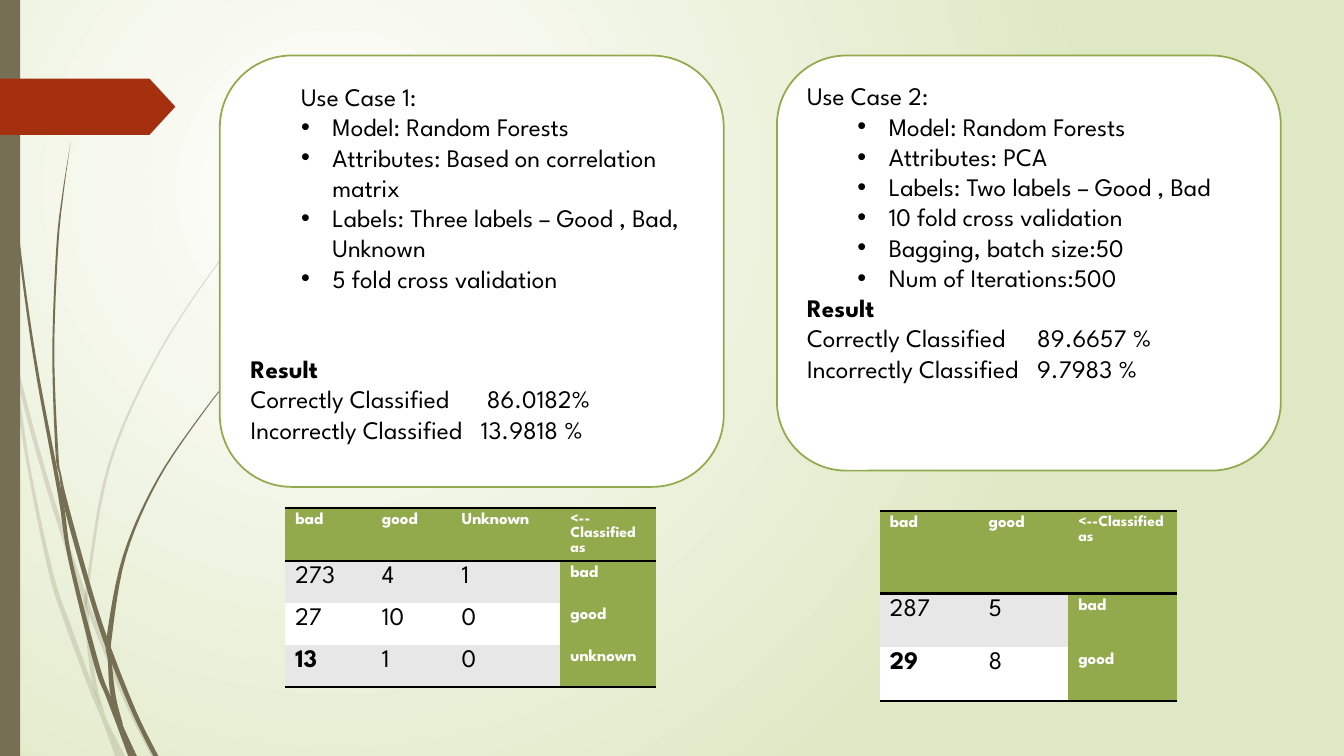
"""Build the slide that compares two random forest use cases."""
from dataclasses import dataclass
from typing import NamedTuple, Optional

from lxml import etree
from pptx import Presentation
from pptx import util as u
from pptx.dml.color import RGBColor
from pptx.enum import shapes, text
from pptx.oxml.ns import qn


@dataclass(frozen=True)
class Theme:
    """Colours, font and type sizes of the slide."""
    black: str = "000000"
    white: str = "FFFFFF"
    green: str = "92AA4C"
    pale: str = "DFE8C4"
    grey: str = "E7E7E7"
    brown: str = "766F54"
    red: str = "A53010"
    font: str = "League Spartan"
    body: int = 18
    label: int = 12
    small: int = 11


class Line(NamedTuple):
    """One paragraph: words, left margin, bullet, weight, tab stop and gap, in cm."""
    words: str
    left: float = 0
    dot: bool = False
    bold: bool = False
    tab: float = 0
    gap: float = 0


class Card(NamedTuple):
    """A rounded box with its left edge and height in cm."""
    left: float
    height: float
    lines: list[Line]


class Grid(NamedTuple):
    """A confusion table with its place and sizes in cm."""
    left: float
    top: float
    cols: list[float]
    rows: list[float]
    cells: list[list[str]]


class Blade(NamedTuple):
    """A grass blade as rows of y, left x and right x in cm, cut at some rows."""
    rows: list[tuple[float, float, float]]
    cuts: list[int]
    alpha: Optional[int] = None


THEME = Theme()
HANG = 0.79
STEPS = 6


def dots(*words: str) -> list[Line]:
    """Make bulleted lines."""
    return [Line(word, left=2.06, dot=True) for word in words]


CARDS = [
    Card(5.54, 10.87, [
        Line("Use Case 1:", left=1.27),
        *dots("Model: Random Forests", "Attributes: Based on correlation matrix",
              "Labels: Three labels – Good , Bad, Unknown", "5 fold cross validation"),
        Line("Result", bold=True, gap=1.52),
        Line("Correctly Classified\t86.0182%", tab=5.95),
        Line("Incorrectly Classified\t13.9818 %", tab=5.8)]),
    Card(19.58, 10.46, [
        Line("Use Case 2:"),
        *dots("Model: Random Forests", "Attributes: PCA", "Labels: Two labels – Good , Bad",
              "10 fold cross validation", "Bagging, batch size:50", "Num of Iterations:500"),
        Line("Result", bold=True),
        Line("Correctly Classified\t89.6657 %", tab=5.8),
        Line("Incorrectly Classified\t9.7983 %", tab=5.8)]),
]

GRIDS = [
    Grid(7.19, 12.8, [2.18, 2.01, 2.74, 2.41], [1.33, 1.06, 1.06, 1.06], [
        ["bad", "good", "Unknown", "<--Classified as"],
        ["273", "4", "1", "bad"],
        ["27", "10", "0", "good"],
        ["13", "1", "0", "unknown"]]),
    Grid(22.17, 12.88, [2.49, 2.26, 2.74], [2.08, 1.35, 1.35], [
        ["bad", "good", "<--Classified as"],
        ["287", "5", "bad"],
        ["29", "8", "good"]]),
]

BLADES = [
    Blade([(7.16, 0, 0), (7.62, 0, 0.1), (8.89, 0.25, 0.3), (9.55, 0.33, 0.43), (11.91, 0.71, 0.79),
           (14.48, 1.24, 1.35), (15.75, 1.65, 1.78), (17.4, 2.26, 2.39), (18.14, 2.57, 2.69),
           (19.05, 2.9, 3.15)], [2, 8], 20),
    Blade([(8.76, 0.36, 0.36), (9.55, 0.43, 0.53), (11.4, 0.91, 1.02), (13.21, 1.45, 1.57),
           (15.16, 2.11, 2.24), (15.49, 2.24, 2.36), (17.6, 3.1, 3.23), (19.05, 3.81, 3.94)],
          [4], 20),
    Blade([(3.89, 7.92, 7.93), (5, 6.81, 6.83), (6.2, 5.79, 5.82), (8.84, 4.01, 4.06),
           (11.71, 2.72, 2.79), (14.83, 2.16, 2.24), (15.49, 2.13, 2.24), (16.41, 2.21, 2.31),
           (17.35, 2.36, 2.46), (18.06, 2.67, 2.67)], [5, 6], 20),
    Blade([(0, 0.08, 0.1), (2.79, 0.18, 0.2), (5.92, 0.43, 0.48), (9.02, 0.84, 0.91),
           (12.12, 1.4, 1.5), (12.83, 1.52, 1.63), (14.15, 1.73, 1.83), (16.71, 2.36, 2.49),
           (17.55, 2.67, 2.79), (18.29, 2.95, 3.1), (19.05, 3.23, 3.45)], [4, 9]),
    Blade([(3.58, 1.78, 1.78), (4.9, 1.57, 1.6), (6.22, 1.42, 1.47), (8.86, 1.32, 1.37),
           (11.4, 1.4, 1.47), (11.99, 1.5, 1.55), (12.83, 1.63, 1.75), (15.01, 2.24, 2.36),
           (16.38, 2.69, 2.82), (17.96, 3.33, 3.45), (19.05, 3.86, 3.99)], [4, 5, 8]),
    Blade([(8.74, 6.6, 6.63), (9.5, 5.84, 5.87), (10.29, 5.18, 5.21), (12.07, 3.96, 4.01),
           (14, 3.1, 3.18), (16.05, 2.69, 2.82), (16.66, 2.72, 2.82), (17.55, 2.79, 2.92),
           (18.26, 3.05, 3.1)], [5, 6]),
]


def paint(shape, fill: str, line: Optional[str] = None) -> None:
    """Give a shape a flat fill and an optional outline."""
    shape.shadow.inherit = False
    shape.fill.solid()
    shape.fill.fore_color.rgb = RGBColor.from_string(fill)
    if line:
        shape.line.color.rgb = RGBColor.from_string(line)
        shape.line.width = u.Pt(1.25)
    else:
        shape.line.fill.background()


def style(para, size: int, shade: str, bold: bool = False) -> None:
    """Set the font of a paragraph."""
    font = para.font
    font.name, font.size, font.bold = THEME.font, u.Pt(size), bold
    font.color.rgb = RGBColor.from_string(shade)


def draw_back(slide) -> None:
    """Fill the background with a round gradient."""
    fill = slide.background.fill
    fill.gradient()
    for stop, shade in zip(fill.gradient_stops, (THEME.white, THEME.pale)):
        stop.color.rgb = RGBColor.from_string(shade)
    grad = next(slide.element.iter(qn("a:gradFill")))
    grad.remove(grad.find(qn("a:lin")))
    ring = etree.SubElement(grad, qn("a:path"), {"path": "circle"})
    etree.SubElement(ring, qn("a:fillToRect"),
                     {"l": "50000", "t": "50000", "r": "100000", "b": "100000"})


def smooth(rows: list[tuple[float, float, float]]) -> list[tuple[float, ...]]:
    """Run a Catmull-Rom curve through the rows."""
    ends = [rows[0], *rows, rows[-1]]
    curve = [tuple(((2 * b + (c - a) * t + (2 * a - 5 * b + 4 * c - d) * t ** 2
                     + (3 * b - a - 3 * c + d) * t ** 3) / 2) for a, b, c, d in zip(*four))
             for four in zip(ends, ends[1:], ends[2:], ends[3:])
             for t in (step / STEPS for step in range(STEPS))]
    return [*curve, rows[-1]]


def draw_blade(slide, blade: Blade) -> None:
    """Draw the pieces of a grass blade."""
    curve = smooth(blade.rows)
    marks = [0, *blade.cuts, len(blade.rows) - 1]
    for start, end in zip(marks, marks[1:]):
        rows = curve[start * STEPS:end * STEPS + 1]
        edge = [(left, y) for y, left, _ in rows] + [(right, y) for y, _, right in reversed(rows)]
        spots = [(u.Cm(x), u.Cm(y)) for x, y in edge]
        pen = slide.shapes.build_freeform(*spots[0])
        pen.add_line_segments(spots[1:], close=True)
        shape = pen.convert_to_shape()
        paint(shape, THEME.brown)
        if blade.alpha:
            shade = next(shape.element.spPr.iter(qn("a:srgbClr")))
            etree.SubElement(shade, qn("a:alpha"), {"val": str(blade.alpha * 1000)})


def draw_shape(slide, kind, place: tuple[float, ...], fill: str, line: Optional[str] = None):
    """Draw a preset shape at left, top, width and height in cm."""
    shape = slide.shapes.add_shape(kind, *map(u.Cm, place))
    paint(shape, fill, line)
    return shape


def draw_card(slide, card: Card) -> None:
    """Draw a rounded box with its lines of text."""
    frame = draw_shape(slide, shapes.MSO_SHAPE.ROUNDED_RECTANGLE,
                       (card.left, 1.4, 12.7, card.height), THEME.white, THEME.green).text_frame
    frame.word_wrap, frame.vertical_anchor = True, text.MSO_ANCHOR.TOP
    for i, line in enumerate(card.lines):
        para = frame.add_paragraph() if i else frame.paragraphs[0]
        para.text = line.words
        para.alignment, para.space_before = text.PP_ALIGN.LEFT, u.Cm(line.gap)
        props = para._p.get_or_add_pPr()
        if line.left:
            props.set("marL", str(u.Cm(line.left)))
        if line.dot:
            props.set("indent", str(u.Cm(-HANG)))
            etree.SubElement(props, qn("a:buFont"), {"typeface": "Arial"})
            etree.SubElement(props, qn("a:buChar"), {"char": "•"})
        if line.tab:
            tabs = etree.SubElement(props, qn("a:tabLst"))
            etree.SubElement(tabs, qn("a:tab"), {"pos": str(u.Cm(line.tab)), "algn": "l"})
        style(para, THEME.body, THEME.black, line.bold)


def add_rule(cell, side: str) -> None:
    """Add a black border to the top or bottom of a cell."""
    rule = etree.Element(qn(f"a:{side}"), {"w": str(u.Pt(2))})
    fill = etree.SubElement(rule, qn("a:solidFill"))
    etree.SubElement(fill, qn("a:srgbClr"), {"val": THEME.black})
    cell._tc.get_or_add_tcPr().insert(0, rule)


def draw_grid(slide, grid: Grid) -> None:
    """Draw a confusion table."""
    place = (grid.left, grid.top, sum(grid.cols), sum(grid.rows))
    table = slide.shapes.add_table(len(grid.rows), len(grid.cols), *map(u.Cm, place)).table
    table.first_row = table.horz_banding = False
    next(table._tbl.iter(qn("a:tableStyleId"))).text = "{2D5ABB26-0587-4C30-8999-92F81FD0307C}"
    for col, width in zip(table.columns, grid.cols):
        col.width = u.Cm(width)
    end_row, end_col = len(grid.rows) - 1, len(grid.cols) - 1
    for r, words in enumerate(grid.cells):
        table.rows[r].height = u.Cm(grid.rows[r])
        for c, word in enumerate(words):
            cell = table.cell(r, c)
            cell.text = word
            head = r == 0 or c == end_col
            band = THEME.grey if r % 2 else THEME.white
            cell.fill.solid()
            cell.fill.fore_color.rgb = RGBColor.from_string(THEME.green if head else band)
            para = cell.text_frame.paragraphs[0]
            if head:
                size = THEME.small if (r, c) == (0, end_col) else THEME.label
                style(para, size, THEME.white, True)
            else:
                style(para, THEME.body, THEME.black, (r, c) == (end_row, 0))
            if r in (0, end_row):
                add_rule(cell, "lnB")
            if r == 0:
                add_rule(cell, "lnT")


def main() -> None:
    """Build and save the deck."""
    deck = Presentation()
    deck.slide_width, deck.slide_height = u.Cm(33.87), u.Cm(19.05)
    slide = deck.slides.add_slide(deck.slide_layouts[6])
    draw_back(slide)
    for blade in BLADES:
        draw_blade(slide, blade)
    draw_shape(slide, shapes.MSO_SHAPE.RECTANGLE, (0, 0, 0.51, 19.05), THEME.brown)
    arrow = draw_shape(slide, shapes.MSO_SHAPE.PENTAGON, (0, 1.98, 4.42, 1.42), THEME.red)
    arrow.adjustments[0] = 0.46
    for card in CARDS:
        draw_card(slide, card)
    for grid in GRIDS:
        draw_grid(slide, grid)
    deck.save("out.pptx")


main()
